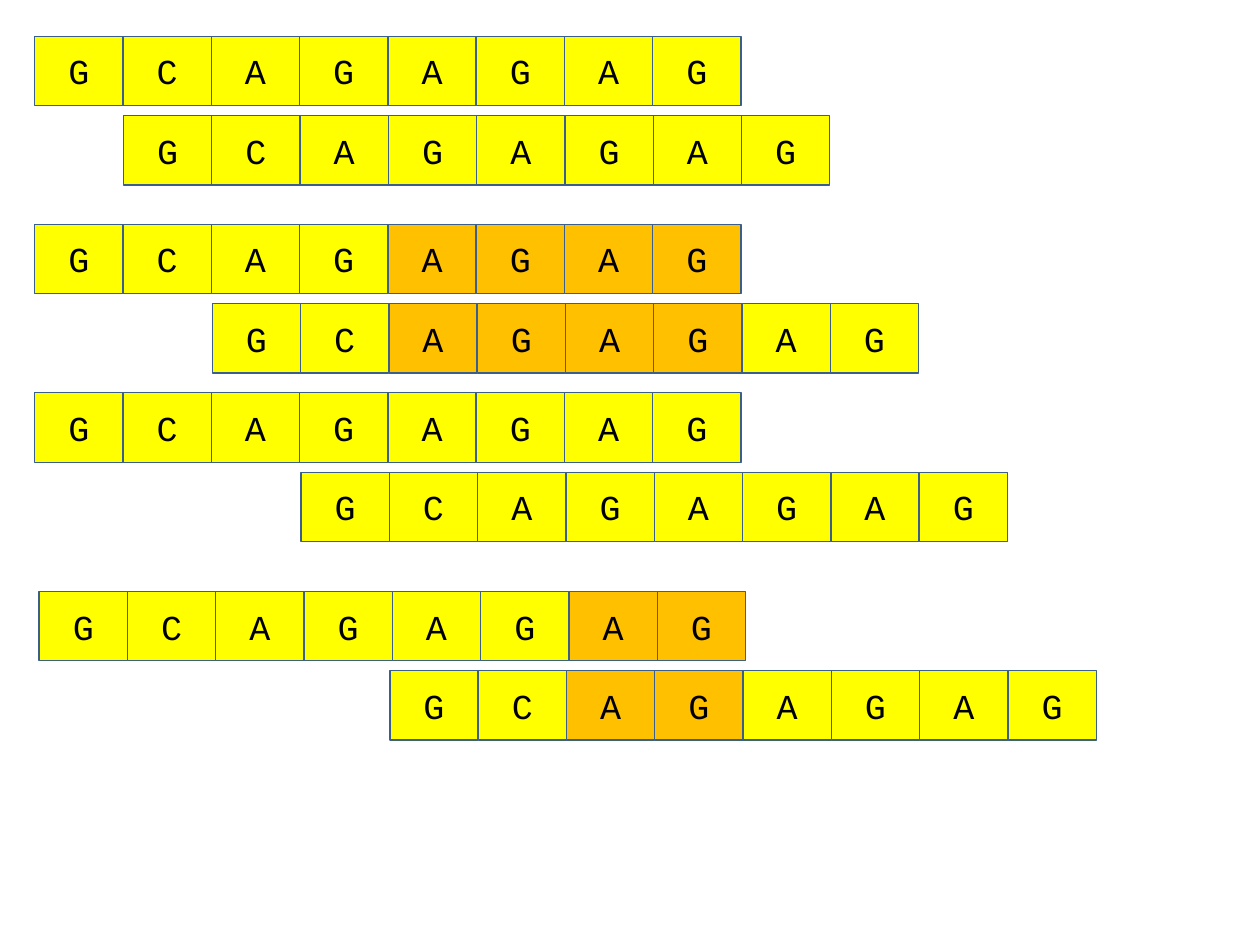
from dataclasses import dataclass

import pptx
import pptx.dml.color
import pptx.enum.shapes
import pptx.enum.text
import pptx.util

Cm = pptx.util.Cm
Pt = pptx.util.Pt
RGB = pptx.dml.color.RGBColor.from_string


@dataclass(frozen=True)
class Theme:
    plain: str = "FFFF00"
    matched: str = "FFC000"
    border: str = "3A5F8C"
    letter: str = "000000"
    font: str = "Courier New"
    letter_size: float = 20
    border_width: float = 0.75


THEME = Theme()
PATTERN = "GCAGAGAG"
CELL_WIDTH, CELL_HEIGHT = 1.78, 1.4
ROW_PITCH = 1.6
SHIFT_STEP = 1.79
LEFT = 0.7

# top, upper row's indent, shift in cells, length of the matching suffix
ALIGNMENTS = [
    (0.73, 0, 1, 0),
    (4.52, 0, 2, 4),
    (7.92, 0, 3, 0),
    (11.92, 0.09, 4, 2),
]


def add_cell(slide, letter, left, top, fill):
    cell = slide.shapes.add_shape(
        pptx.enum.shapes.MSO_SHAPE.RECTANGLE,
        Cm(left), Cm(top), Cm(CELL_WIDTH), Cm(CELL_HEIGHT))
    cell.shadow.inherit = False
    cell.fill.solid()
    cell.fill.fore_color.rgb = RGB(fill)
    cell.line.color.rgb = RGB(THEME.border)
    cell.line.width = Pt(THEME.border_width)
    cell.text_frame.vertical_anchor = pptx.enum.text.MSO_ANCHOR.MIDDLE
    paragraph = cell.text_frame.paragraphs[0]
    paragraph.text = letter
    paragraph.alignment = pptx.enum.text.PP_ALIGN.CENTER
    paragraph.font.name = THEME.font
    paragraph.font.size = Pt(THEME.letter_size)
    paragraph.font.color.rgb = RGB(THEME.letter)


def add_pattern(slide, left, top, matches):
    """Draw the pattern as a row of cells, with the matches highlighted."""
    for column, letter in enumerate(PATTERN):
        fill = THEME.matched if column in matches else THEME.plain
        add_cell(slide, letter, left + column * CELL_WIDTH, top, fill)


def add_alignment(slide, left, top, indent, shift, suffix):
    """Draw the pattern above its shifted self, with the suffix matched in both."""
    start = len(PATTERN) - suffix
    upper_matches = range(start, len(PATTERN))
    lower_matches = range(start - shift, len(PATTERN) - shift)
    add_pattern(slide, left + indent, top, upper_matches)
    add_pattern(slide, left + shift * SHIFT_STEP, top + ROW_PITCH, lower_matches)


def main():
    deck = pptx.Presentation()
    deck.slide_width, deck.slide_height = Cm(25.4), Cm(19.05)
    slide = deck.slides.add_slide(deck.slide_layouts[6])
    for top, indent, shift, suffix in ALIGNMENTS:
        add_alignment(slide, LEFT, top, indent, shift, suffix)
    deck.save("out.pptx")


if __name__ == "__main__":
    main()
